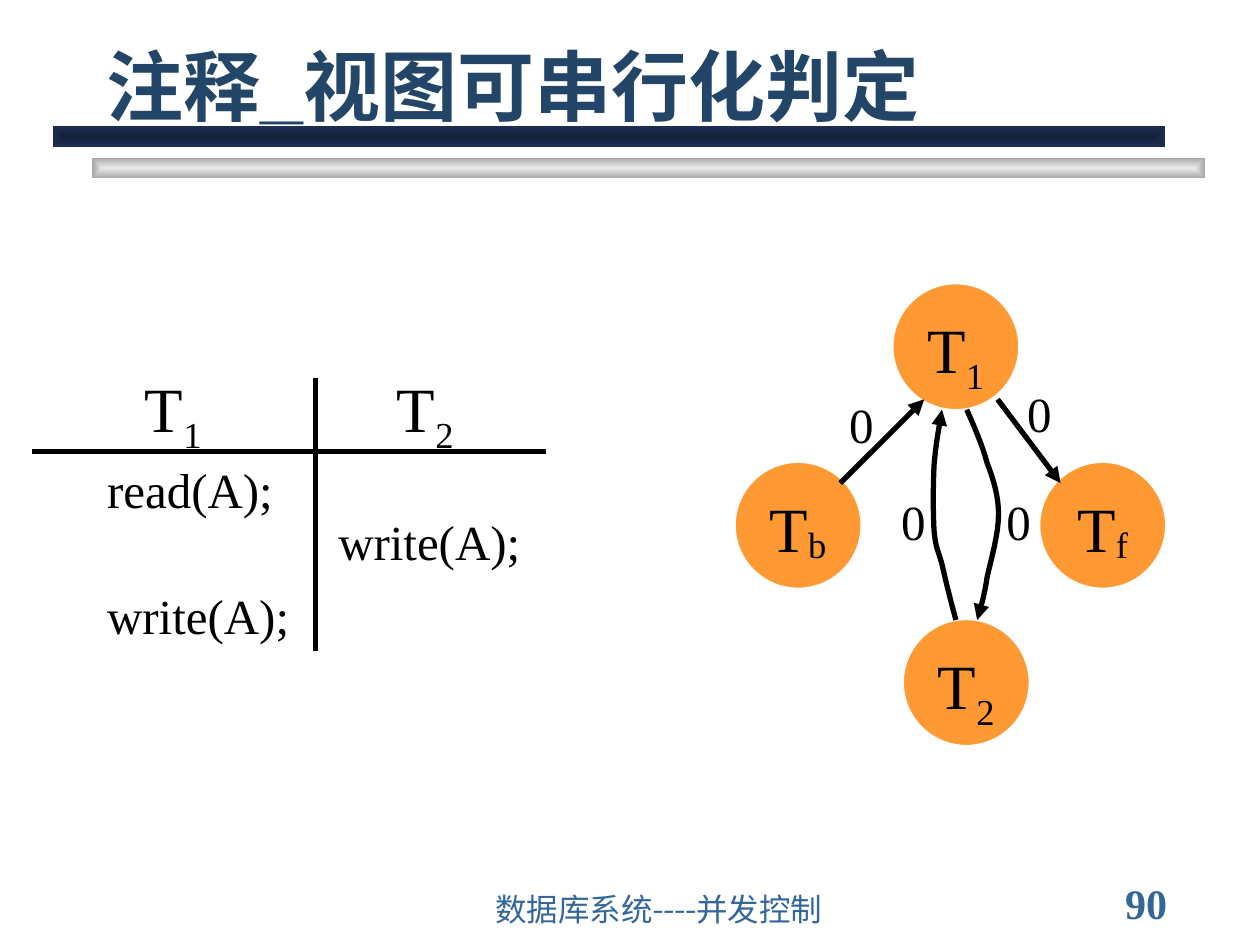
from lxml import etree
from pptx import Presentation
from pptx.dml.color import RGBColor
from pptx.enum.shapes import MSO_CONNECTOR, MSO_SHAPE
from pptx.enum.text import MSO_ANCHOR as ANCHOR, PP_ALIGN as ALIGN
from pptx.oxml.ns import qn
from pptx.util import Cm, Pt

SERIF = "Times New Roman"
BLACK, BLUE, ORANGE = "000000", "336699", "FF9933"
CURVE_STEPS = 8


def rgb(hex_color):
    return RGBColor.from_string(hex_color)


def add_text(s, x, y, w, h, runs, size, font=SERIF, color=BLACK, bold=False,
             align=ALIGN.LEFT, anchor=ANCHOR.TOP, spacing=None):
    """Add one paragraph; runs are (text, baseline shift in percent)."""
    tf = s.shapes.add_textbox(Cm(x), Cm(y), Cm(w), Cm(h)).text_frame
    tf.word_wrap = True
    tf.vertical_anchor = anchor
    p = tf.paragraphs[0]
    p.alignment = align
    if spacing:
        p.line_spacing = spacing
    for text, shift in runs:
        r = p.add_run()
        r.text = text
        r.font.size, r.font.name, r.font.bold = Pt(size), font, bold
        r.font.color.rgb = rgb(color)
        if shift:
            r._r.get_or_add_rPr().set("baseline", str(shift * 1000))


def add_symbol(s, x, y, w, sub, shift):
    add_text(s, x, y, w, 1.78, [("T", 0), (sub, shift)], 36, align=ALIGN.CENTER)


def style_line(sp, arrow):
    sp.line.color.rgb = rgb(BLACK)
    sp.line.width = Pt(3)
    if arrow:
        ln = sp.line._get_or_add_ln()
        etree.SubElement(ln, qn("a:tailEnd"), type="triangle")


def add_line(s, x1, y1, x2, y2, arrow=False):
    line = s.shapes.add_connector(MSO_CONNECTOR.STRAIGHT, Cm(x1), Cm(y1), Cm(x2), Cm(y2))
    style_line(line, arrow)
    etree.SubElement(line._element.spPr, qn("a:effectLst"))


def bezier_points(controls):
    """Sample a chain of cubic curves that share their end points."""
    points = [controls[0]]
    for i in range(0, len(controls) - 1, 3):
        for step in range(1, CURVE_STEPS + 1):
            t = step / CURVE_STEPS
            weights = ((1 - t) ** 3, 3 * t * (1 - t) ** 2, 3 * t * t * (1 - t), t ** 3)
            points.append(tuple(sum(k * c[axis] for k, c in zip(weights, controls[i:i + 4]))
                                for axis in (0, 1)))
    return points


def add_curve(s, x, y, controls):
    points = [(Cm(x + px), Cm(y + py)) for px, py in bezier_points(controls)]
    builder = s.shapes.build_freeform(*points[0])
    builder.add_line_segments(points[1:], close=False)
    sp = builder.convert_to_shape()
    sp.shadow.inherit = False
    sp.fill.background()
    style_line(sp, arrow=True)


def add_bar(s, x, y, w, h, center, edge):
    sp = s.shapes.add_shape(MSO_SHAPE.RECTANGLE, Cm(x), Cm(y), Cm(w), Cm(h))
    sp.shadow.inherit = False
    sp.line.fill.background()
    sp.fill.gradient()
    for stop, color, position in zip(sp.fill.gradient_stops, (center, edge), (0, 1)):
        stop.color.rgb = rgb(color)
        stop.position = position
    grad = sp._element.spPr.find(qn("a:gradFill"))
    grad.remove(grad.find(qn("a:lin")))
    shade = etree.SubElement(grad, qn("a:path"), path="shape")
    etree.SubElement(shade, qn("a:fillToRect"), l="50000", t="50000", r="50000", b="50000")


def add_header(s, x, y):
    add_bar(s, x + 0.8, y + 2.75, 22.43, 0.42, "EAEAEA", "A7A7A7")
    add_bar(s, x, y + 2.11, 22.43, 0.42, "15213B", "1E2E53")
    add_text(s, x + 0.84, y, 21.59, 2.33, [("注释_视图可串行化判定", 0)], 44,
             "Arial", "224568", bold=True, anchor=ANCHOR.BOTTOM)


def add_footer(s, x, y):
    add_text(s, x, y + 0.2, 10.37, 0.85, [("数据库系统----并发控制", 0)], 18,
             "Karla", BLUE, anchor=ANCHOR.BOTTOM)
    add_text(s, x + 12.7, y, 2.75, 0.85, [("90", 0)], 24, color=BLUE, bold=True,
             anchor=ANCHOR.MIDDLE)


def add_schedule(s, x, y, w, h):
    divider = x + 5.72
    rule = y + 1.48
    add_line(s, x, rule, x + w, rule)
    add_line(s, divider, y, divider, y + h)
    for dx, sub in ((1.48, "1"), (6.56, "2")):
        add_symbol(s, x + dx, y - 0.3, 2.75, sub, -25)
    for dx, dy, step in ((1.27, 1.75, "read(A);"), (5.93, 2.79, "write(A);"),
                         (1.27, 4.29, "write(A);")):
        add_text(s, x + dx, y + dy, 5.5, 1.2, [(step, 0)], 28, spacing=0.8)


def add_node(s, x, y, sub, shift):
    sp = s.shapes.add_shape(MSO_SHAPE.OVAL, Cm(x), Cm(y), Cm(2.54), Cm(2.54))
    sp.shadow.inherit = False
    sp.fill.solid()
    sp.fill.fore_color.rgb = rgb(ORANGE)
    sp.line.color.rgb = rgb("FFFFFF")
    sp.line.width = Pt(0.75)
    add_symbol(s, x + 0.21, y + 0.42, 2.12, sub, shift)


def add_precedence_graph(s, x, y):
    nodes = ((3.18, 0, "1", -25), (6.14, 3.6, "f", -10),
             (0, 3.6, "b", -10), (3.39, 6.77, "2", -25))
    t2_to_t1 = [(4.45, 6.78), (4.34, 6.38), (4.24, 5.97), (4.17, 5.66), (4.09, 5.36),
                (4.04, 5.33), (4.01, 4.98), (3.99, 4.65), (3.99, 4.06), (4.01, 3.66),
                (4.04, 3.25), (4.11, 2.9), (4.17, 2.54)]
    t1_to_t2 = [(4.67, 2.54), (4.83, 2.9), (4.98, 3.25), (5.08, 3.61), (5.21, 3.96),
                (5.31, 4.27), (5.31, 4.65), (5.31, 5.05), (5.16, 5.56), (5.08, 5.92),
                (5.03, 6.27), (4.95, 6.53), (4.88, 6.78)]
    for dx, dy, sub, shift in nodes:
        add_node(s, x + dx, y + dy, sub, shift)
    for x1, y1, x2, y2 in ((2.12, 4.02, 3.81, 2.33), (5.29, 2.33, 6.56, 4.02)):
        add_line(s, x + x1, y + y1, x + x2, y + y2, arrow=True)
    for controls in (t2_to_t1, t1_to_t2):
        add_curve(s, x, y, controls)
    for dx, dy in ((1.91, 2.33), (2.96, 4.29), (5.08, 4.29), (5.5, 2.12)):
        add_text(s, x + dx, y + dy, 1.27, 1.2, [("0", 0)], 28,
                 align=ALIGN.CENTER, spacing=0.8)


def main():
    prs = Presentation()
    prs.slide_width, prs.slide_height = Cm(25.4), Cm(19.05)
    s = prs.slides.add_slide(prs.slide_layouts[6])
    add_header(s, 1.06, 0.43)
    add_footer(s, 9.73, 17.78)
    add_schedule(s, 0.64, 7.62, 10.37, 5.5)
    add_precedence_graph(s, 14.82, 5.72)
    prs.save("out.pptx")


if __name__ == "__main__":
    main()
